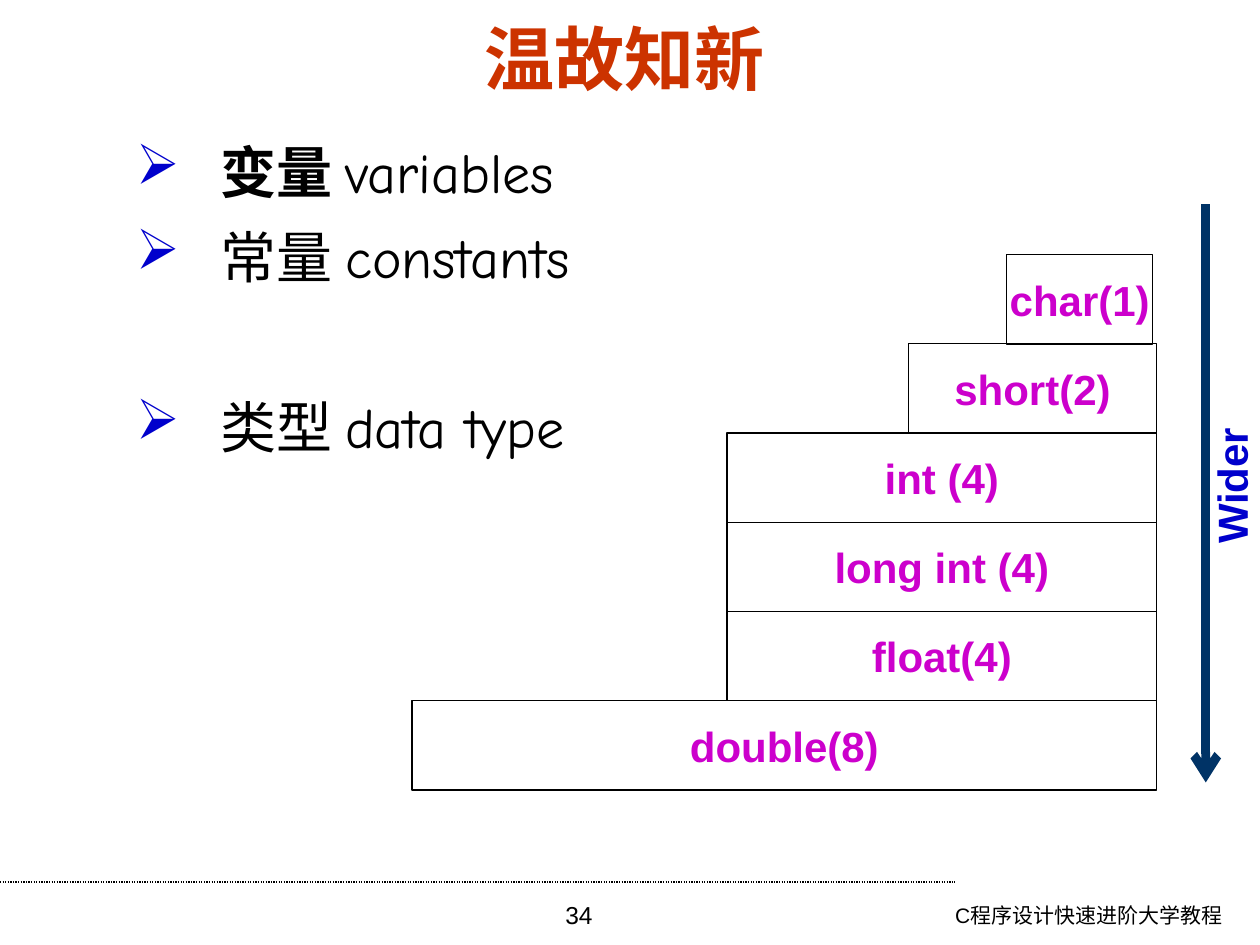
import pptx
import pptx.util
import pptx.dml.color
import pptx.enum.dml
import pptx.enum.shapes
import pptx.enum.text
import pptx.oxml
import pptx.oxml.ns

Inches, Pt = pptx.util.Inches, pptx.util.Pt
ALIGN = pptx.enum.text.PP_ALIGN
ANCHOR = pptx.enum.text.MSO_ANCHOR
RECT = pptx.enum.shapes.MSO_SHAPE.RECTANGLE
STRAIGHT = pptx.enum.shapes.MSO_CONNECTOR.STRAIGHT
NS = pptx.oxml.ns.nsdecls("a")

# Content
TITLE = "温故知新"
FOOTER = "C程序设计快速进阶大学教程"
PAGE = "34"
ARROW_LABEL = "Wider"
# Chinese term, its font, bold, English term, space before in points
TERMS = [
    ("变量 ", "Arial", True, "variables", 0),
    ("常量 ", "Comic Neue", False, "constants", 6.4),
    ("类型 ", "Comic Neue", False, "data type", 55),
]
# label, width, right edge
TYPES = [
    ("char(1)", 1.16, 9.15),
    ("short(2)", 1.97, 9.18),
    ("int (4)", 3.41, 9.18),
    ("long int (4)", 3.41, 9.18),
    ("float(4)", 3.41, 9.18),
    ("double(8)", 5.91, 9.18),
]
STAIR_TOP, STAIR_LAST, STEP_HEIGHT = 2.02, 5.56, 0.71
COLORS = {"black": "000000", "white": "FFFFFF", "title": "CC3300",
          "type": "CC00CC", "blue": "0000CC", "arrow": "003366"}


def rgb(name):
    return pptx.dml.color.RGBColor.from_string(COLORS[name])


def style(r, size, color, bold=False, font="Arial"):
    r.font.name, r.font.size, r.font.bold = font, Pt(size), bold
    r.font.color.rgb = rgb(color)


def write(s, text, size, color, bold=False, align=ALIGN.CENTER,
          anchor=ANCHOR.MIDDLE, wrap=False):
    tf = s.text_frame
    tf.text = text
    tf.word_wrap, tf.vertical_anchor = wrap, anchor
    p = tf.paragraphs[0]
    p.alignment = align
    style(p.runs[0], size, color, bold)


def add_text(box, *args, **options):
    s = slide.shapes.add_textbox(*map(Inches, box))
    write(s, *args, **options)
    return s


def add_rect(box):
    s = slide.shapes.add_shape(RECT, *map(Inches, box))
    s.shadow.inherit = False
    return s


def add_line(x1, y1, x2, y2, color, width):
    s = slide.shapes.add_connector(STRAIGHT, *map(Inches, (x1, y1, x2, y2)))
    s.line.color.rgb, s.line.width = rgb(color), Pt(width)
    s.element.spPr.append(pptx.oxml.parse_xml(f"<a:effectLst {NS}/>"))
    return s


def add_bullet(p):
    pPr = p._p.get_or_add_pPr()
    pPr.set("marL", str(Inches(0.67)))
    pPr.set("indent", str(Inches(-0.67)))
    for xml in (f'<a:buClr {NS}><a:srgbClr val="{COLORS["blue"]}"/></a:buClr>',
                f'<a:buChar {NS} char="➢"/>'):
        pPr.append(pptx.oxml.parse_xml(xml))


prs = pptx.Presentation()
prs.slide_width, prs.slide_height = Inches(10), Inches(7.5)
slide = prs.slides.add_slide(prs.slide_layouts[6])

# Footer
rule = add_line(0, 7, 7.58, 7, "black", 0.75)
rule.line.dash_style = pptx.enum.dml.MSO_LINE.ROUND_DOT
add_text((6.57, 7.11, 3.23, 0.39), FOOTER, 12, "black",
         align=ALIGN.RIGHT, anchor=ANCHOR.TOP, wrap=True)
add_text((3.43, 7.09, 2.33, 0.41), PAGE, 14, "black",
         anchor=ANCHOR.TOP, wrap=True)

# Title
add_text((0.43, 0.21, 9.05, 0.5), TITLE, 40, "title", bold=True, wrap=True)

# Bulleted terms
terms = add_rect((0.98, 0.99, 4.52, 5.75))
terms.fill.solid()
terms.fill.fore_color.rgb = rgb("white")
terms.line.fill.background()
tf = terms.text_frame
tf.word_wrap, tf.vertical_anchor = True, ANCHOR.TOP
for i, (chinese, font, bold, english, gap) in enumerate(TERMS):
    p = tf.add_paragraph() if i else tf.paragraphs[0]
    p.alignment, p.line_spacing, p.space_before = ALIGN.LEFT, 1.1, Pt(gap)
    add_bullet(p)
    for text, face, heavy in ((chinese, font, bold),
                              (english, "Comic Neue", False)):
        r = p.add_run()
        r.text = text
        style(r, 32, "black", heavy, face)

# Staircase of data types, aligned on the right
pitch = (STAIR_LAST - STAIR_TOP) / (len(TYPES) - 1)
for i, (label, width, right) in enumerate(TYPES):
    s = add_rect((right - width, STAIR_TOP + i * pitch, width, STEP_HEIGHT))
    s.fill.background()
    s.line.color.rgb, s.line.width = rgb("black"), Pt(0.75)
    write(s, label, 24, "type", bold=True)

# Arrow towards wider types
arrow = add_line(9.57, 1.62, 9.57, 6.21, "arrow", 5)
arrow.line._get_or_add_ln().append(
    pptx.oxml.parse_xml(f'<a:tailEnd {NS} type="arrow"/>'))
add_text((9.19, 3.5, 1.16, 0.71), ARROW_LABEL, 24, "blue",
         bold=True).rotation = 270

prs.save("out.pptx")
